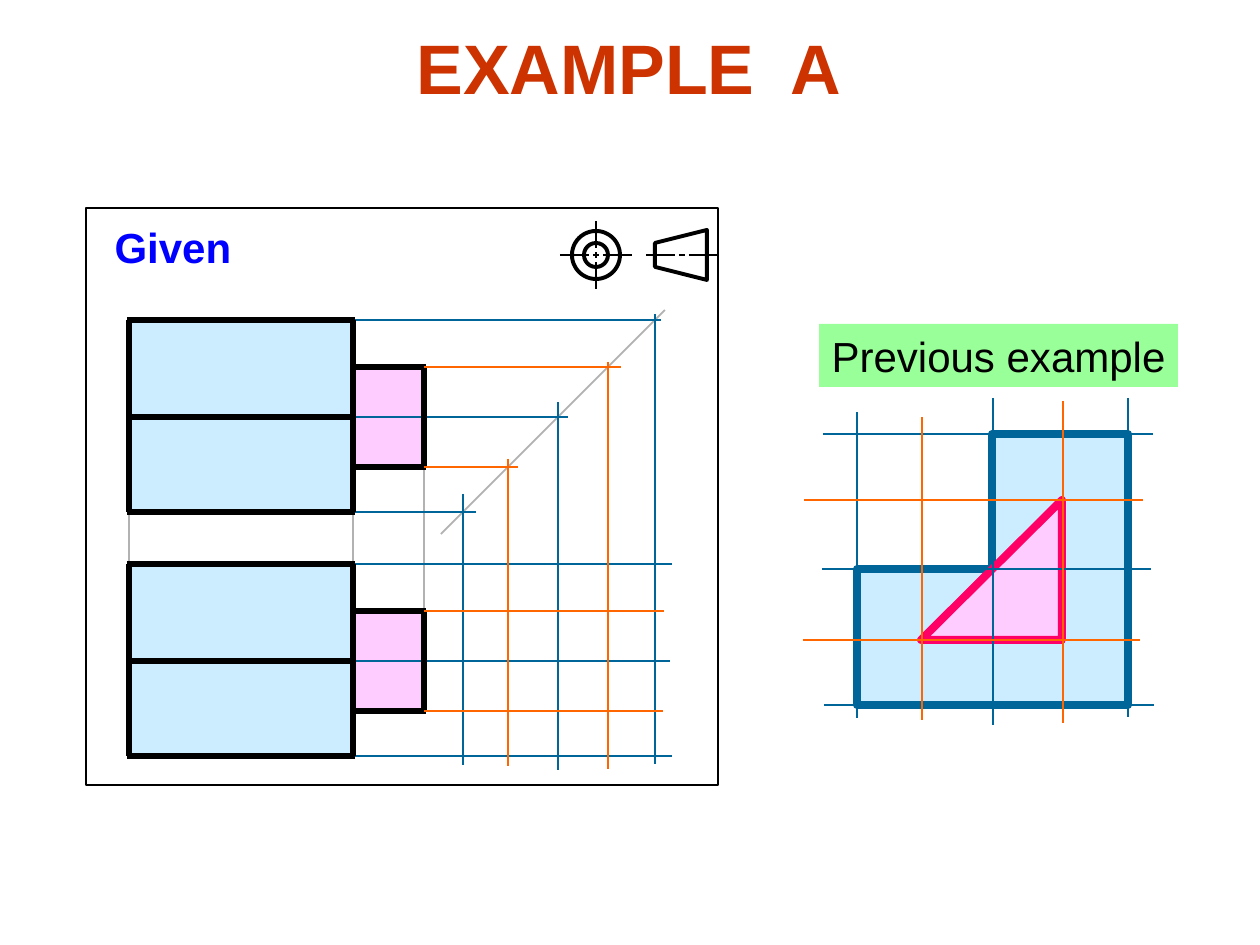
from collections import namedtuple
from dataclasses import dataclass

from lxml.etree import SubElement
from pptx import Presentation
from pptx.dml.color import RGBColor
from pptx.enum.shapes import MSO_CONNECTOR, MSO_SHAPE
from pptx.enum.text import MSO_ANCHOR, PP_ALIGN
from pptx.oxml.ns import qn
from pptx.util import Pt

PX = 914400 // 126
Box = namedtuple("Box", "left top width height")
Projector = namedtuple("Projector", "row right up bottom front_end")


@dataclass(frozen=True)
class Theme:
    font: str = "Arial"
    title_size: int = 40
    label_size: int = 24
    title: str = "CC3300"
    heading: str = "0000FF"
    ink: str = "000000"
    label_fill: str = "99FF99"
    body: str = "CCECFF"
    body_line: str = "006699"
    stub: str = "FFCCFF"
    triangle_line: str = "FF0066"
    stub_line: str = "FF6600"
    guide: str = "B2B2B2"
    hairline: float = 0.75
    thin: float = 1
    symbol: float = 2.25
    edge: float = 3
    thick: float = 4.5


THEME = Theme()

# The 45° line joins every top-view row to the column with x + y = MITRE.
MITRE = 681
BODY_PROJECTORS = [
    Projector(0, 6, 6, 556, 586),
    Projector(97, 10, 15, 562, 584),
    Projector(192, 13, 18, 557, 586),
]
STUB_PROJECTORS = [
    Projector(47, 13, 5, 561, 578),
    Projector(147, 10, 8, 558, 577),
]


def add_line(slide, box, start, end, color, width=THEME.thin):
    """Draw a straight line between points measured from the box corner."""
    points = [(box.left + x, box.top + y) for x, y in (start, end)]
    connector = slide.shapes.add_connector(
        MSO_CONNECTOR.STRAIGHT, *(value * PX for point in points for value in point))
    connector.line.color.rgb = RGBColor.from_string(color)
    connector.line.width = Pt(width)
    SubElement(connector._element.spPr, qn("a:effectLst"))


def style_shape(shape, fill=None, line=None, width=THEME.thin):
    shape.shadow.inherit = False
    if fill:
        shape.fill.solid()
        shape.fill.fore_color.rgb = RGBColor.from_string(fill)
    else:
        shape.fill.background()
    if line:
        shape.line.color.rgb = RGBColor.from_string(line)
        shape.line.width = Pt(width)
    else:
        shape.line.fill.background()
    return shape


def add_preset(slide, kind, box, **style):
    shape = slide.shapes.add_shape(kind, *(value * PX for value in box))
    return style_shape(shape, **style)


def add_polygon(slide, box, points, **style):
    """Draw a closed outline through points measured from the box corner."""
    corners = [(box.left + x, box.top + y) for x, y in points]
    builder = slide.shapes.build_freeform(*corners[0], scale=PX)
    builder.add_line_segments(corners[1:], close=True)
    style_shape(builder.convert_to_shape(), **style)


def add_label(slide, box, text, size, color, bold=False, fill=None):
    shape = slide.shapes.add_textbox(*(value * PX for value in box))
    if fill:
        style_shape(shape, fill=fill)
    frame = shape.text_frame
    for name, value in {"word_wrap": False, "vertical_anchor": MSO_ANCHOR.TOP}.items():
        setattr(frame, name, value)
    paragraph = frame.paragraphs[0]
    paragraph.text = text
    paragraph.alignment = PP_ALIGN.CENTER
    for name, value in {"name": THEME.font, "size": Pt(size), "bold": bold}.items():
        setattr(paragraph.font, name, value)
    paragraph.font.color.rgb = RGBColor.from_string(color)


def add_center_line(slide, box, center, reach, vertical=False):
    """Draw a long-short-long dashed axis through the center."""
    x, y = center
    for first, last in ((-reach, -7), (-3, 3), (7, reach)):
        if vertical:
            start, end = (x, y + first), (x, y + last)
        else:
            start, end = (x + first, y), (x + last, y)
        add_line(slide, box, start, end, THEME.ink)


def add_projection_symbol(slide, box):
    outline = {"line": THEME.ink, "width": THEME.symbol}
    ring = Box(box.left + 13, box.top + 9, 48, 48)
    add_preset(slide, MSO_SHAPE.DONUT, ring, **outline)
    add_polygon(slide, box, [(96, 21), (148, 8), (148, 58), (96, 45)], **outline)
    add_center_line(slide, box, (37, 33), 36)
    add_center_line(slide, box, (37, 33), 34, vertical=True)
    add_center_line(slide, box, (123, 33), 36)


def add_view_faces(slide, box, body_width):
    """Fill the body and the stub that projects from its right side."""
    stub_top, stub_bottom = (projector.row for projector in STUB_PROJECTORS)
    body = Box(box.left, box.top, body_width, box.height)
    stub = Box(box.left + body_width, box.top + stub_top,
               box.width - body_width, stub_bottom - stub_top)
    add_preset(slide, MSO_SHAPE.RECTANGLE, stub, fill=THEME.stub)
    add_preset(slide, MSO_SHAPE.RECTANGLE, body, fill=THEME.body)


def add_view_edges(slide, box, body_width):
    stub_top, stub_bottom = (projector.row for projector in STUB_PROJECTORS)
    edges = [((-2, row), (body_width + 2, row)) for row in (0, box.height)]
    edges.append(((0, 97), (body_width, 97)))
    edges += [((x, 0), (x, box.height)) for x in (0, body_width)]
    edges += [((body_width, row), (box.width + 2, row)) for row in (stub_top, stub_bottom)]
    edges.append(((box.width, stub_top), (box.width, stub_bottom)))
    for start, end in edges:
        add_line(slide, box, start, end, THEME.ink, THEME.edge)


def add_projectors(slide, box, projectors, left, view_tops, color):
    """Carry rows across, turn them at the 45° line and cross the front view's rows."""
    upper, lower = view_tops
    for projector in projectors:
        row = upper + projector.row
        column = MITRE - row
        front_row = lower + projector.row
        add_line(slide, box, (left, row), (column + projector.right, row), color)
        add_line(slide, box, (column, row - projector.up), (column, projector.bottom), color)
        add_line(slide, box, (left, front_row), (projector.front_end, front_row), color)


def add_given_panel(slide, box):
    left, body_width, view_width, view_height = 43, 224, 295, 192
    view_tops = (112, 356)
    views = [Box(box.left + left, box.top + top, view_width, view_height)
             for top in view_tops]
    body_right, stub_right = left + body_width, left + view_width
    add_preset(slide, MSO_SHAPE.RECTANGLE, box, line=THEME.ink, width=THEME.hairline)
    add_label(slide, Box(box.left + 11, box.top + 7, 152, 63), "Given",
              THEME.label_size, THEME.heading, bold=True)
    add_projection_symbol(slide, Box(box.left + 473, box.top + 14, 158, 67))
    for view in views:
        add_view_faces(slide, view, body_width)
    add_line(slide, box, (355, MITRE - 355), (579, MITRE - 579), THEME.guide)
    for x, top, bottom in ((left, 304, 356), (body_right, 304, 356), (stub_right, 259, 403)):
        add_line(slide, box, (x, top), (x, bottom), THEME.guide)
    add_projectors(slide, box, BODY_PROJECTORS, body_right, view_tops, THEME.body_line)
    for view in views:
        add_view_edges(slide, view, body_width)
    add_projectors(slide, box, STUB_PROJECTORS, stub_right, view_tops, THEME.stub_line)


def add_previous_example(slide, box):
    """Draw the end view: an L-shaped body, a triangle and their grid lines."""
    side, half = box.width, box.width // 2
    add_polygon(slide, box,
                [(0, side), (side, side), (side, 0), (half, 0), (half, half), (0, half)],
                fill=THEME.body, line=THEME.body_line, width=THEME.thick)
    add_polygon(slide, box, [(64, 206), (205, 206), (205, 66)],
                fill=THEME.stub, line=THEME.triangle_line, width=THEME.thick)
    columns = {THEME.body_line: [(0, -22, 284), (half + 1, -36, 291), (side, -36, 283)],
               THEME.stub_line: [(65, -17, 286), (206, -33, 289)]}
    rows = {THEME.body_line: [(0, -34, 296), (half, -35, 294), (side, -33, 297)],
            THEME.stub_line: [(66, -53, 286), (206, -54, 283)]}
    for color in (THEME.body_line, THEME.stub_line):
        for x, top, bottom in columns[color]:
            add_line(slide, box, (x, top), (x, bottom), color)
        for y, left, right in rows[color]:
            add_line(slide, box, (left, y), (right, y), color)
    add_label(slide, Box(box.left - 38, box.top - 110, 359, 63), "Previous example",
              THEME.label_size, THEME.ink, fill=THEME.label_fill)


def main():
    presentation = Presentation()
    presentation.slide_width, presentation.slide_height = 1260 * PX, 945 * PX
    slide = presentation.slides.add_slide(presentation.slide_layouts[6])
    add_label(slide, Box(403, 18, 452, 97), "EXAMPLE  A",
              THEME.title_size, THEME.title, bold=True)
    add_given_panel(slide, Box(86, 208, 632, 577))
    add_previous_example(slide, Box(857, 434, 271, 271))
    presentation.save("out.pptx")


if __name__ == "__main__":
    main()
